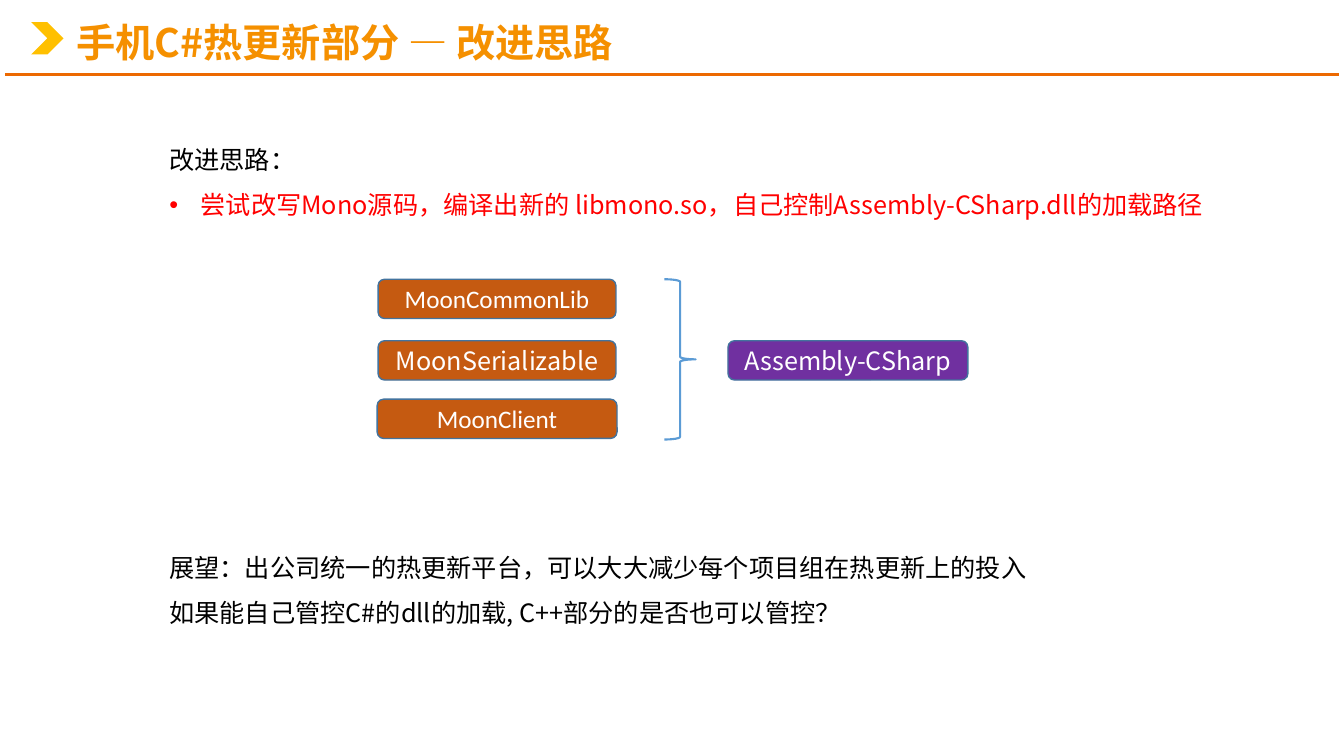
from lxml.etree import SubElement as Sub
from pptx import Presentation
from pptx.dml.color import RGBColor
from pptx.enum.shapes import MSO_CONNECTOR as Wire, MSO_SHAPE as Kind
from pptx.enum.text import MSO_ANCHOR as Anchor, MSO_AUTO_SIZE as Fit, PP_ALIGN as Align
from pptx.oxml.ns import qn
from pptx.util import Emu, Pt

UNIT = 9144
NOTO = "Noto Sans CJK SC"
CALIBRI = "Calibri"
PITCH = 32.4
LINES = [
    ("改进思路：", "000000", False, 0),
    ("尝试改写Mono源码，编译出新的 libmono.so，自己控制Assembly-CSharp.dll的加载路径", "FF0000", True, 0),
    ("展望：出公司统一的热更新平台，可以大大减少每个项目组在热更新上的投入", "000000", False, 7),
    ("如果能自己管控C#的dll的加载, C++部分的是否也可以管控？", "000000", False, 0),
]
PARTS = [
    ("MoonCommonLib", CALIBRI, 1, 0, 236),
    ("MoonSerializable", NOTO, 1, 61, 236),
    ("MoonClient", CALIBRI, 0, 119, 238),
]


def px(*nums):
    """Turn px lengths into EMU."""
    return [Emu(num * UNIT) for num in nums]


def tint(color, code):
    """Set a colour from a hex string."""
    color.rgb = RGBColor.from_string(code)


def style(par, size, face, code, bold=False):
    """Format the runs of a paragraph."""
    for run in par.runs:
        font = run.font
        font.size, font.name, font.bold = Pt(size), face, bold
        tint(font.color, code)
        Sub(font._element, qn("a:ea"), typeface=face)


def place(item, x, y, w, h):
    """Move an item to the given box."""
    item.left, item.top, item.width, item.height = px(x, y, w, h)


def form(slide, kind, box, fill=None, edge=None, width=1):
    """Add a preset shape with plain fill and line."""
    item = slide.shapes.add_shape(kind, *px(*box))
    item.shadow.inherit = False
    if fill:
        item.fill.solid()
        tint(item.fill.fore_color, fill)
    else:
        item.fill.background()
    if edge:
        tint(item.line.color, edge)
        item.line.width = Pt(width)
    else:
        item.line.fill.background()
    return item


def header(slide, x, y, w, h):
    """Place the rule, the chevron and the title."""
    rule = slide.shapes.add_connector(Wire.STRAIGHT, *px(x, y + h, x + w, y + h))
    tint(rule.line.color, "EC6901")
    rule.line.width = Pt(2)
    Sub(rule._element.spPr, qn("a:effectLst"))
    form(slide, Kind.CHEVRON, (x + 26, y + 22, 32, 32), "FFC000")
    title = slide.shapes.title
    place(title, x + 61, y + 13, 1046, 63)
    frame = title.text_frame
    frame.text = "手机C#热更新部分 — 改进思路"
    frame.auto_size, frame.vertical_anchor = Fit.NONE, Anchor.MIDDLE
    par = frame.paragraphs[0]
    par.alignment, par.line_spacing = Align.LEFT, 0.9
    style(par, 28, NOTO, "F59000", True)


def ideas(slide, *box):
    """Fill the body with the ideas and the outlook."""
    body = slide.placeholders[1]
    place(body, *box)
    frame = body.text_frame
    frame.auto_size, frame.vertical_anchor = Fit.NONE, Anchor.TOP
    for rank, (text, code, dot, gap) in enumerate(LINES):
        par = frame.add_paragraph() if rank else frame.paragraphs[0]
        par.text = text
        par.alignment = Align.LEFT
        par.line_spacing, par.space_before = Pt(PITCH), Pt(gap * PITCH)
        props = par._p.get_or_add_pPr()
        inset = 31 * UNIT if dot else 0
        props.set("marL", str(inset))
        props.set("indent", str(-inset))
        if dot:
            Sub(props, qn("a:buFont"), typeface="Arial")
            Sub(props, qn("a:buChar"), char="•")
        else:
            Sub(props, qn("a:buNone"))
        style(par, 18, NOTO, code)


def label(slide, text, face, fill, *box):
    """Add a rounded box with a centred name."""
    item = form(slide, Kind.ROUNDED_RECTANGLE, box, fill, "43739E")
    frame = item.text_frame
    frame.text = text
    frame.vertical_anchor, frame.word_wrap = Anchor.MIDDLE, False
    par = frame.paragraphs[0]
    par.alignment = Align.CENTER
    style(par, 18, face, "FFFFFF")


def merge(slide, x, y, h):
    """Show the three parts joined into one assembly."""
    for text, face, dx, dy, w in PARTS:
        label(slide, text, face, "C55A11", x + dx, y + dy, w, 39)
    label(slide, "Assembly-CSharp", NOTO, "7030A0", x + 348, y + 61, 238, 39)
    form(slide, Kind.RIGHT_BRACE, (x + 285, y, 31, h), None, "5B9BD5", 1.5)


def main():
    """Build and save the slide."""
    deck = Presentation()
    deck.slide_width, deck.slide_height = px(1333, 750)
    slide = deck.slides.add_slide(deck.slide_layouts[1])
    header(slide, 5, 0, 1323, 74)
    ideas(slide, 158, 123, 1070, 510)
    merge(slide, 374, 277, 159)
    deck.save("out.pptx")


if __name__ == "__main__":
    main()
